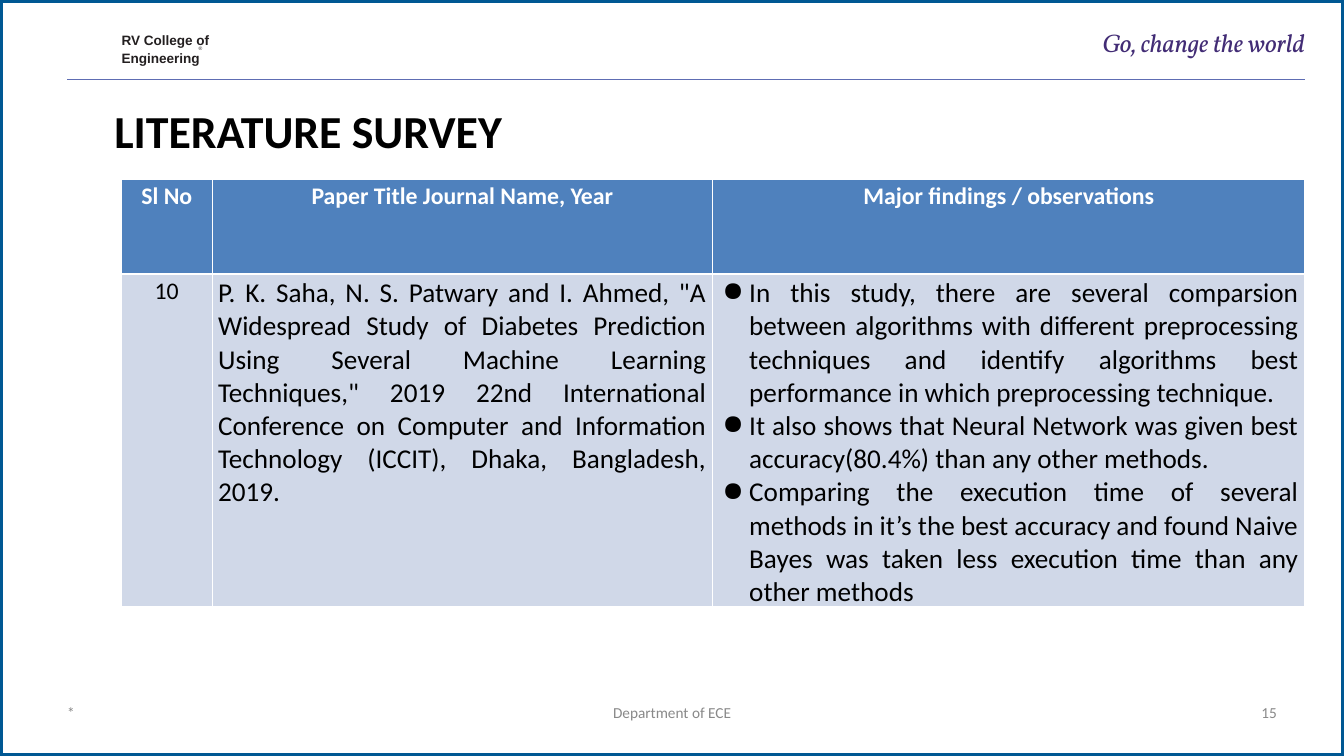
from dataclasses import dataclass

from lxml import etree
from pptx import Presentation
from pptx.dml.color import RGBColor
from pptx.enum.shapes import MSO_CONNECTOR, MSO_SHAPE
from pptx.enum.text import PP_ALIGN
from pptx.oxml.ns import qn
from pptx.util import Cm, Pt

LEFT, CENTER, RIGHT, JUSTIFY = PP_ALIGN.LEFT, PP_ALIGN.CENTER, PP_ALIGN.RIGHT, PP_ALIGN.JUSTIFY
RECTANGLE = MSO_SHAPE.RECTANGLE
STRAIGHT = MSO_CONNECTOR.STRAIGHT

WIDTH, HEIGHT = 55.85, 31.42
FOOTER_TOP, FOOTER_HEIGHT = 29.21, 1.57
WHITE, BLACK, GREY, INK = "FFFFFF", "000000", "898989", "231F20"
HEADER_FILL, BODY_FILL = "4F81BD", "D0D8E8"


@dataclass
class Label:
    lines: list[str]
    left: float
    top: float
    width: float
    height: float
    size: float
    color: str
    font: str = "Calibri"
    bold: bool = False
    italic: bool = False
    align: int = LEFT
    line_spacing: float = 1.0
    space_before: float = 0
    inset_top: float = 0


@dataclass
class Cell:
    paragraphs: list[str]
    size: float
    align: int = CENTER
    bullets: bool = False


LABELS = [
    Label(["RV College of", "Engineering"], 5.05, 1.22, 3.81, 1.37, 16, INK, "Arial",
          bold=True, line_spacing=1.06, space_before=1, inset_top=0.05),
    Label(["®"], 8.25, 1.9, 0.4, 0.3, 6, INK, "Arial"),
    Label(["Go, change the world"], 44.02, 1.14, 10.21, 1.3, 30, "422C75", "Vollkorn",
          italic=True, align=RIGHT),
    Label(["LITERATURE SURVEY"], 4.75, 4.22, 28.45, 2.34, 54, BLACK, bold=True, inset_top=0.03),
    Label(["*"], 2.79, FOOTER_TOP, 12.85, FOOTER_HEIGHT, 18, GREY),
    Label(["Department of ECE"], 19, FOOTER_TOP, 17.86, FOOTER_HEIGHT, 18, GREY, align=CENTER),
    Label(["15"], 40.21, FOOTER_TOP, 12.85, FOOTER_HEIGHT, 18, GREY, align=RIGHT),
]

COLUMN_WIDTHS = [3.76, 20.8, 24.61]
ROW_HEIGHTS = [3.94, 10.92]
SURVEY = [
    [
        Cell(["Sl No"], 28),
        Cell(["Paper Title Journal Name, Year"], 28),
        Cell(["Major findings / observations"], 28),
    ],
    [
        Cell(["10"], 28),
        Cell(['P. K. Saha, N. S. Patwary and I. Ahmed, "A Widespread Study of Diabetes '
              'Prediction Using Several Machine Learning Techniques," 2019 22nd International '
              'Conference on Computer and Information Technology (ICCIT), Dhaka, Bangladesh, '
              '2019.'], 32, JUSTIFY),
        Cell(["In this study, there are several comparsion between algorithms with different "
              "preprocessing techniques and identify algorithms best performance in which "
              "preprocessing technique.",
              "It also shows that Neural Network was given best accuracy(80.4%) than any other "
              "methods.",
              "Comparing the execution time of several methods in it’s the best accuracy and "
              "found Naive Bayes was taken less execution time than any other methods"],
             32, JUSTIFY, bullets=True),
    ],
]


def rgb(color: str) -> RGBColor:
    return RGBColor.from_string(color)


def add_bullet(paragraph) -> None:
    properties = paragraph._p.get_or_add_pPr()
    properties.set("marL", str(Cm(1.27)))
    properties.set("indent", str(Cm(-1.12)))
    bullet_color = etree.SubElement(properties, qn("a:buClr"))
    etree.SubElement(bullet_color, qn("a:srgbClr"), val=BLACK)
    etree.SubElement(properties, qn("a:buChar"), char="●")


def write_text(frame, lines: list[str], *, size: float, color: str, font: str = "Calibri",
               bold: bool = False, italic: bool = False, align: int = LEFT,
               line_spacing: float = 1.0, space_before: float = 0,
               bullets: bool = False) -> None:
    for index, line in enumerate(lines):
        paragraph = frame.add_paragraph() if index else frame.paragraphs[0]
        if bullets:
            add_bullet(paragraph)
        paragraph.alignment = align
        paragraph.line_spacing = line_spacing
        if index:
            paragraph.space_before = Pt(space_before)
        run = paragraph.add_run()
        run.text = line
        run.font.name = font
        run.font.size = Pt(size)
        run.font.bold = bold
        run.font.italic = italic
        run.font.color.rgb = rgb(color)


def add_frame(slide) -> None:
    frame = slide.shapes.add_shape(RECTANGLE, 0, 0, Cm(WIDTH), Cm(HEIGHT))
    frame.shadow.inherit = False
    frame.fill.solid()
    frame.fill.fore_color.rgb = rgb(WHITE)
    frame.line.color.rgb = rgb("005893")
    frame.line.width = Pt(6)


def add_header_rule(slide) -> None:
    rule = slide.shapes.add_connector(STRAIGHT, Cm(2.79), Cm(3.3), Cm(54.25), Cm(3.3))
    rule.line.color.rgb = rgb("5E6DB3")
    rule.line.width = Pt(1.25)
    etree.SubElement(rule._element.spPr, qn("a:effectLst"))


def add_label(slide, label: Label) -> None:
    box = slide.shapes.add_textbox(Cm(label.left), Cm(label.top), Cm(label.width), Cm(label.height))
    frame = box.text_frame
    frame.word_wrap = True
    frame.margin_left = frame.margin_right = frame.margin_bottom = 0
    frame.margin_top = Cm(label.inset_top)
    write_text(frame, label.lines, size=label.size, color=label.color, font=label.font,
               bold=label.bold, italic=label.italic, align=label.align,
               line_spacing=label.line_spacing, space_before=label.space_before)


def add_borders(cell, top: float, bottom: float) -> None:
    properties = cell._tc.get_or_add_tcPr()
    for side, width in {"L": 1, "R": 1, "T": top, "B": bottom}.items():
        border = etree.SubElement(properties, qn(f"a:ln{side}"), w=str(Pt(width)))
        fill = etree.SubElement(border, qn("a:solidFill"))
        etree.SubElement(fill, qn("a:srgbClr"), val=WHITE)


def add_survey_table(slide) -> None:
    table = slide.shapes.add_table(
        len(ROW_HEIGHTS), len(COLUMN_WIDTHS), Cm(5.05), Cm(7.44),
        Cm(sum(COLUMN_WIDTHS)), Cm(sum(ROW_HEIGHTS))).table
    for column, width in zip(table.columns, COLUMN_WIDTHS):
        column.width = Cm(width)
    for row, height in zip(table.rows, ROW_HEIGHTS):
        row.height = Cm(height)
    for row_index, contents in enumerate(SURVEY):
        is_header = row_index == 0
        for column_index, content in enumerate(contents):
            cell = table.cell(row_index, column_index)
            add_borders(cell, top=1 if is_header else 3, bottom=3 if is_header else 1)
            cell.fill.solid()
            cell.fill.fore_color.rgb = rgb(HEADER_FILL if is_header else BODY_FILL)
            write_text(cell.text_frame, content.paragraphs, size=content.size,
                       color=WHITE if is_header else BLACK, bold=is_header,
                       align=content.align, bullets=content.bullets)


def main() -> None:
    presentation = Presentation()
    presentation.slide_width = Cm(WIDTH)
    presentation.slide_height = Cm(HEIGHT)
    slide = presentation.slides.add_slide(presentation.slide_layouts[6])
    add_frame(slide)
    add_header_rule(slide)
    for label in LABELS:
        add_label(slide, label)
    add_survey_table(slide)
    presentation.save("out.pptx")


if __name__ == "__main__":
    main()
